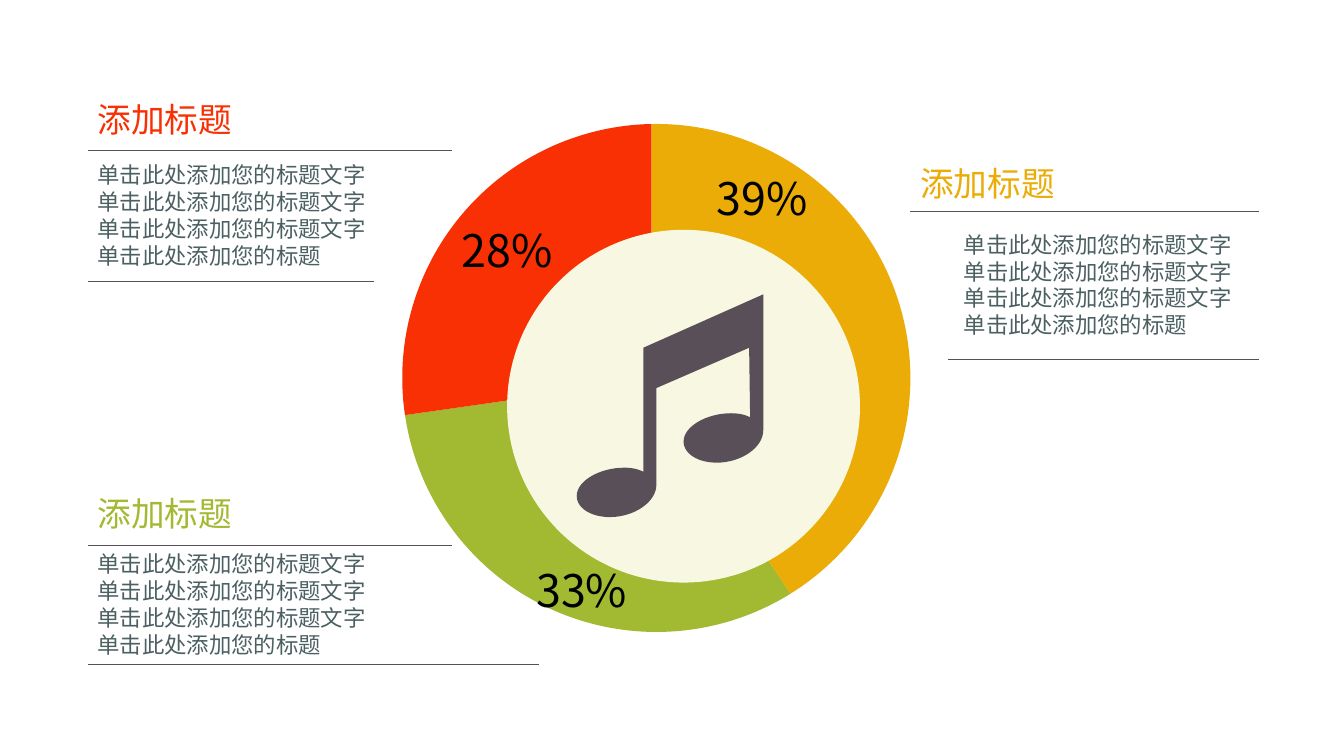
"""Build a slide with a three-part ring, a music note and captions."""
import math

import lxml.etree
import pptx
import pptx.dml.color
import pptx.enum.shapes
import pptx.enum.text
import pptx.oxml.ns
import pptx.util

Inches = pptx.util.Inches
RGBColor = pptx.dml.color.RGBColor
RED = RGBColor(0xF8, 0x30, 0x03)
GREEN = RGBColor(0xA2, 0xB9, 0x32)
GOLD = RGBColor(0xEB, 0xAC, 0x07)
CREAM = RGBColor(0xF8, 0xF7, 0xE2)
PLUM = RGBColor(0x58, 0x4F, 0x59)
SLATE = RGBColor(0x4C, 0x60, 0x62)
BLACK = RGBColor(0, 0, 0)
FONT = "Noto Sans CJK SC"
TITLE = "添加标题"
BODY = "单击此处添加您的标题文字" * 3 + "单击此处添加您的标题"
RING_X, RING_Y, RING_RADIUS = 6.51, 3.75, 2.52
HEAD_CURVES = [
    [(6.51, 4.81), (6.51, 4.98), (6.29, 5.13), (6.05, 5.13)],
    [(6.05, 5.13), (5.86, 5.13), (5.72, 5.04), (5.72, 4.92)],
    [(5.72, 4.92), (5.72, 4.77), (5.95, 4.64), (6.19, 4.64)],
    [(6.19, 4.64), (6.26, 4.64), (6.32, 4.65), (6.38, 4.68)],
]


def paint(shape, color):
    """Give a shape a flat fill without outline or shadow."""
    shape.shadow.inherit = False
    shape.fill.solid()
    shape.fill.fore_color.rgb = color
    shape.line.fill.background()


def add_outline(page, points, color):
    """Draw a closed filled outline through points given in inches."""
    corners = [(Inches(x), Inches(y)) for x, y in points]
    builder = page.shapes.build_freeform(*corners[0])
    builder.add_line_segments(corners[1:], close=True)
    paint(builder.convert_to_shape(), color)


def ring_arc(start, end):
    """Return points on the ring edge, in degrees clockwise from the top."""
    steps = 90
    angles = [math.radians(start + (end - start) * step / steps)
              for step in range(steps + 1)]
    return [(RING_X + RING_RADIUS * math.sin(angle),
             RING_Y - RING_RADIUS * math.cos(angle)) for angle in angles]


def note_head(shift_x, shift_y):
    """Return the points of a note head, moved by the given shift."""
    points = []
    for curve in HEAD_CURVES:
        for step in range(17):
            t = step / 16
            weights = [math.comb(3, i) * t**i * (1 - t)**(3 - i) for i in range(4)]
            points.append((
                shift_x + sum(w * x for w, (x, y) in zip(weights, curve)),
                shift_y + sum(w * y for w, (x, y) in zip(weights, curve))))
    return points


def add_rule(page, left, right, top):
    """Draw a thin horizontal line."""
    rule = page.shapes.add_connector(
        pptx.enum.shapes.MSO_CONNECTOR.STRAIGHT,
        Inches(left), Inches(top), Inches(right), Inches(top))
    rule.line.color.rgb = PLUM
    rule.line.width = pptx.util.Pt(0.5)
    lxml.etree.SubElement(rule._element.spPr, pptx.oxml.ns.qn("a:effectLst"))


def add_text(page, text, left, top, width, height, size, color):
    """Add a wrapped text box with one paragraph."""
    box = page.shapes.add_textbox(
        Inches(left), Inches(top), Inches(width), Inches(height))
    frame = box.text_frame
    frame.word_wrap = True
    frame.auto_size = pptx.enum.text.MSO_AUTO_SIZE.SHAPE_TO_FIT_TEXT
    para = frame.paragraphs[0]
    para.text = text
    para.font.size = pptx.util.Pt(size)
    para.font.color.rgb = color
    para.font.name = FONT
    defaults = para._p.pPr.find(pptx.oxml.ns.qn("a:defRPr"))
    lxml.etree.SubElement(defaults, pptx.oxml.ns.qn("a:ea"), typeface=FONT)


def add_ring(page):
    """Draw the three sectors and the cream disc over them."""
    top, right, left = -1.14, 148.1, 261.6
    hub = (6.46, 3.77)
    add_outline(page, ring_arc(right, left) + [hub, (7, 3.56), (7.27, 5.04)], GREEN)
    add_outline(page, ring_arc(top, right) + [(7.27, 5.04), (7, 3.56), (6.46, 3.56)], GOLD)
    add_outline(page, ring_arc(left, 360 + top) + [hub], RED)
    disc = page.shapes.add_shape(
        pptx.enum.shapes.MSO_SHAPE.OVAL,
        Inches(5.03), Inches(2.28), Inches(3.5), Inches(3.5))
    paint(disc, CREAM)


def add_note(page):
    """Draw the pair of beamed notes."""
    points = [(7.57, 2.92), *note_head(1.06, -0.54), (7.43, 3.45),
              (6.51, 3.85), *note_head(0, 0), (6.38, 3.45)]
    add_outline(page, points, PLUM)


def main():
    """Build and save the slide."""
    deck = pptx.Presentation()
    deck.slide_width, deck.slide_height = Inches(13.33), Inches(7.5)
    page = deck.slides.add_slide(deck.slide_layouts[6])
    add_ring(page)
    for left, right, top in [(9.03, 12.49, 2.1), (9.4, 12.49, 3.57),
                             (0.87, 4.48, 1.49), (0.87, 3.71, 2.79),
                             (0.87, 4.48, 5.41), (0.87, 5.35, 6.59)]:
        add_rule(page, left, right, top)
    for left, top in [(0.87, 1.55), (0.87, 5.41), (9.46, 2.24)]:
        add_text(page, BODY, left, top, 3.03, 1.18, 16, SLATE)
    for share, left, top in [("28%", 4.48, 2.16), ("39%", 7.01, 1.64), ("33%", 5.22, 5.53)]:
        add_text(page, share, left, top, 1.3, 0.64, 32, BLACK)
    for left, top, color in [(0.87, 0.93, RED), (0.87, 4.84, GREEN), (9.03, 1.57, GOLD)]:
        add_text(page, TITLE, left, top, 2.06, 0.5, 24, color)
    add_note(page)
    deck.save("out.pptx")


if __name__ == "__main__":
    main()
